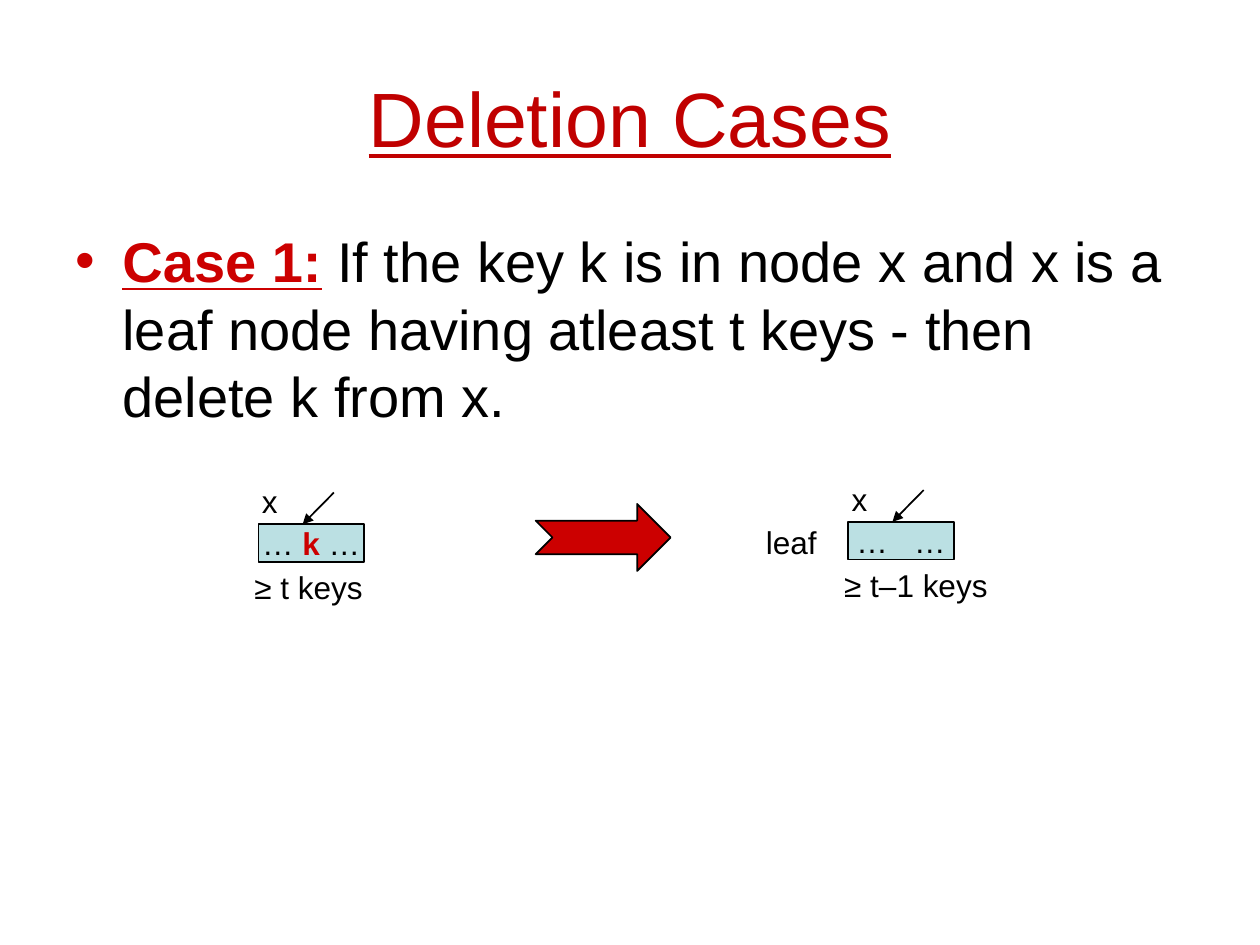
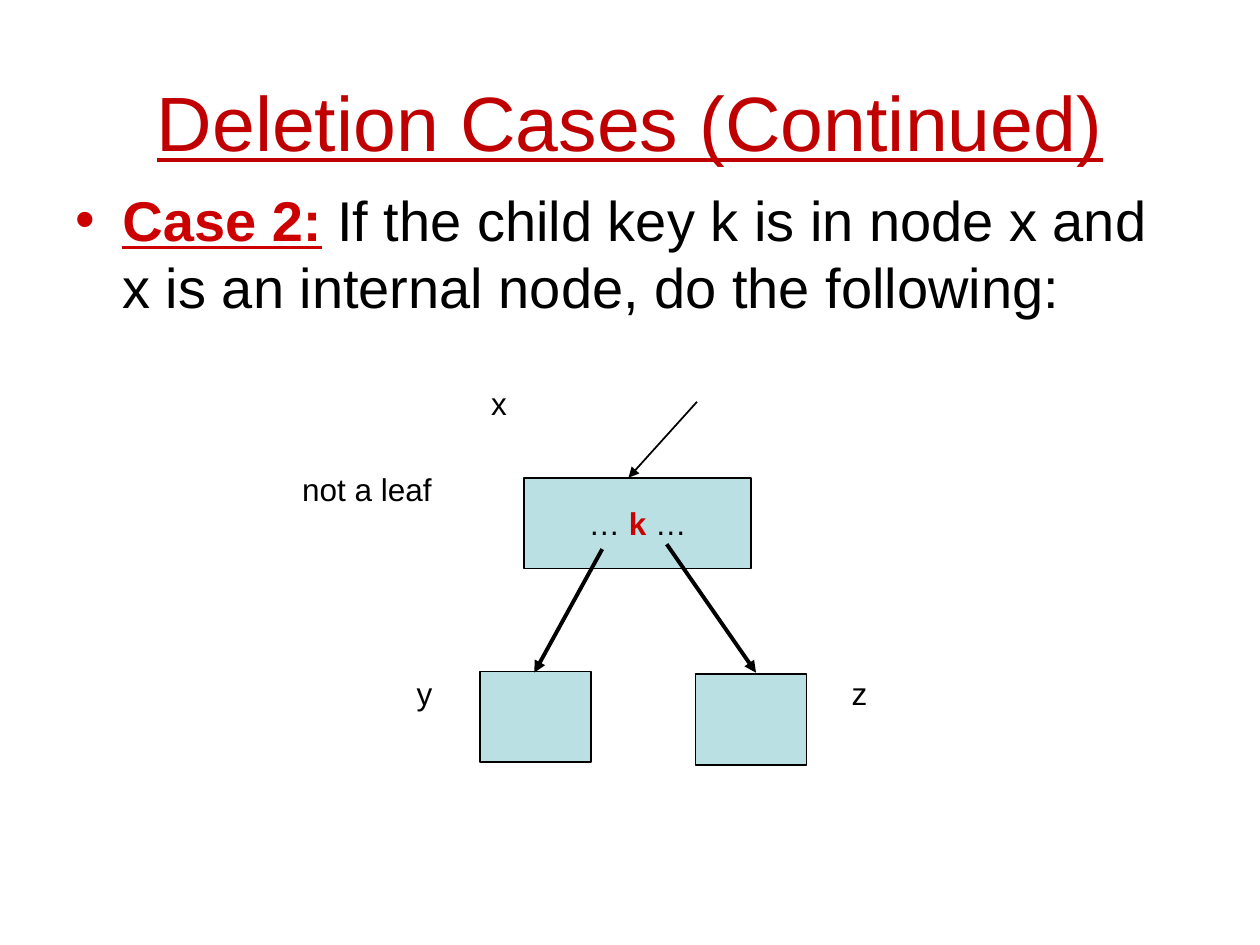
"""Builds two slides on the deletion cases of a B-tree."""
from dataclasses import dataclass

from lxml import etree
from pptx import Presentation
from pptx import util as u
from pptx.dml.color import RGBColor
from pptx.enum import shapes, text
from pptx.oxml import ns


@dataclass(frozen=True)
class Theme:
    """Colours, font and type sizes of the deck."""
    title: str = "C00000"
    accent: str = "CC0000"
    ink: str = "000000"
    node: str = "BBE0E3"
    font: str = "Arial"
    title_size: int = 44
    body_size: int = 32
    label_size: int = 18
    thin: float = 1
    thick: float = 2.25


THEME = Theme()
KEY_NODE = [" … ", "k", " … "]
LABEL_HEIGHT = 1.02
LETTER_WIDTH = 0.81

LEAF_WIDTH, LEAF_HEIGHT = 2.13, 0.76
LEAVES = [
    {"at": (5.21, 10.57), "node": KEY_NODE, "keys": "≥ t keys", "width": 2.84},
    {"at": (17.1, 10.52), "node": [" …   … "], "keys": "≥ t–1 keys", "width": 3.56},
]
LEAF_LABEL = ("leaf", 15.19, 10.41, 1.6)
RESULT_ARROW = (10.8, 10.16, 2.72, 1.35)

TREE_NODES = [
    (KEY_NODE, 10.57, 9.63, 4.57, 1.83),
    ([], 9.68, 13.54, 2.24, 1.83),
    ([], 14.02, 13.59, 2.24, 1.83),
]
TREE_ARROWS = [
    ((14.05, 8.1), (12.67, 9.63), THEME.thin),
    ((12.14, 11.07), (10.77, 13.56), THEME.thick),
    ((13.44, 10.97), (15.24, 13.56), THEME.thick),
]
TREE_LABELS = [
    ("not a leaf", 5.84, 9.35, 3.12),
    ("y", 8.15, 13.46, LETTER_WIDTH),
    ("z", 16.92, 13.46, LETTER_WIDTH),
    ("x", 9.65, 7.62, LETTER_WIDTH),
]


def lengths(*values):
    return [u.Cm(value) for value in values]


def style(span, size, color=THEME.ink, bold=False, underline=False):
    span.font.name = THEME.font
    span.font.size = u.Pt(size)
    span.font.bold = bold
    span.font.underline = underline
    span.font.color.rgb = RGBColor.from_string(color)


def add_title(page, words, top, height):
    title = page.shapes.title
    title.left, title.top, title.width, title.height = lengths(1.27, top, 22.86, height)
    frame = title.text_frame
    frame.text = words
    frame.auto_size = text.MSO_AUTO_SIZE.NONE
    frame.vertical_anchor = text.MSO_ANCHOR.MIDDLE
    para = frame.paragraphs[0]
    para.alignment = text.PP_ALIGN.CENTER
    style(para.runs[0], THEME.title_size, THEME.title, underline=True)


def add_case(page, name, words, top):
    frame = page.shapes.add_textbox(*lengths(1.27, top, 22.86, 12.6)).text_frame
    frame.word_wrap = True
    para = frame.paragraphs[0]
    para.space_before = u.Pt(8)
    props = para._p.get_or_add_pPr()
    props.set("marL", str(u.Cm(0.95)))
    props.set("indent", str(-u.Cm(0.95)))
    color = etree.SubElement(props, ns.qn("a:buClr"))
    etree.SubElement(color, ns.qn("a:srgbClr"), val=THEME.accent)
    etree.SubElement(props, ns.qn("a:buFont"), typeface=THEME.font)
    etree.SubElement(props, ns.qn("a:buChar"), char="•")
    for part in (name, words):
        span = para.add_run()
        span.text = part
        is_name = part == name
        style(span, THEME.body_size, THEME.accent if is_name else THEME.ink, is_name, is_name)


def add_outlined(page, kind, color, *place):
    shape = page.shapes.add_shape(kind, *lengths(*place))
    shape.shadow.inherit = False
    shape.fill.solid()
    shape.fill.fore_color.rgb = RGBColor.from_string(color)
    shape.line.color.rgb = RGBColor.from_string(THEME.ink)
    shape.line.width = u.Pt(THEME.thin)
    return shape


def add_node(page, parts, *place):
    box = add_outlined(page, shapes.MSO_SHAPE.RECTANGLE, THEME.node, *place)
    frame = box.text_frame
    frame.word_wrap = False
    frame.vertical_anchor = text.MSO_ANCHOR.MIDDLE
    para = frame.paragraphs[0]
    para.alignment = text.PP_ALIGN.CENTER
    for part in parts:
        span = para.add_run()
        span.text = part
        is_key = part == "k"
        style(span, THEME.label_size, THEME.accent if is_key else THEME.ink, is_key)


def add_label(page, words, left, top, width):
    frame = page.shapes.add_textbox(*lengths(left, top, width, LABEL_HEIGHT)).text_frame
    frame.word_wrap = False
    frame.auto_size = text.MSO_AUTO_SIZE.SHAPE_TO_FIT_TEXT
    frame.text = words
    style(frame.paragraphs[0].runs[0], THEME.label_size)


def add_arrow(page, start, end, weight):
    arrow = page.shapes.add_connector(shapes.MSO_CONNECTOR.STRAIGHT, *lengths(*start, *end))
    arrow.line.color.rgb = RGBColor.from_string(THEME.ink)
    arrow.line.width = u.Pt(weight)
    etree.SubElement(arrow.line._get_or_add_ln(), ns.qn("a:tailEnd"), type="triangle")
    etree.SubElement(arrow._element.spPr, ns.qn("a:effectLst"))


def add_leaf(page, leaf):
    left, top = leaf["at"]
    add_node(page, leaf["node"], left, top, LEAF_WIDTH, LEAF_HEIGHT)
    add_arrow(page, (left + 1.52, top - 0.64), (left + 0.89, top), THEME.thin)
    add_label(page, leaf["keys"], left - 0.33, top + LEAF_HEIGHT, leaf["width"])
    add_label(page, "x", left - 0.18, top - 0.97, LETTER_WIDTH)


def build_leaf_case(page):
    add_title(page, "Deletion Cases", 0.76, 3.18)
    add_case(page, "Case 1:", " If the key k is in node x and x is a leaf node having "
             "atleast t keys - then delete k from x.", 4.45)
    for leaf in LEAVES:
        add_leaf(page, leaf)
    add_label(page, *LEAF_LABEL)
    add_outlined(page, shapes.MSO_SHAPE.NOTCHED_RIGHT_ARROW, THEME.accent, *RESULT_ARROW)


def build_internal_case(page):
    add_title(page, "Deletion Cases (Continued)", 1.27, 2.34)
    add_case(page, "Case 2:", " If the child key k is in node x and x is an internal "
             "node, do the following:", 3.61)
    for node in TREE_NODES:
        add_node(page, *node)
    for arrow in TREE_ARROWS:
        add_arrow(page, *arrow)
    for label in TREE_LABELS:
        add_label(page, *label)


def main():
    deck = Presentation()
    deck.slide_width, deck.slide_height = lengths(25.4, 19.05)
    for build in (build_leaf_case, build_internal_case):
        build(deck.slides.add_slide(deck.slide_layouts[5]))
    deck.save("out.pptx")


if __name__ == "__main__":
    main()
